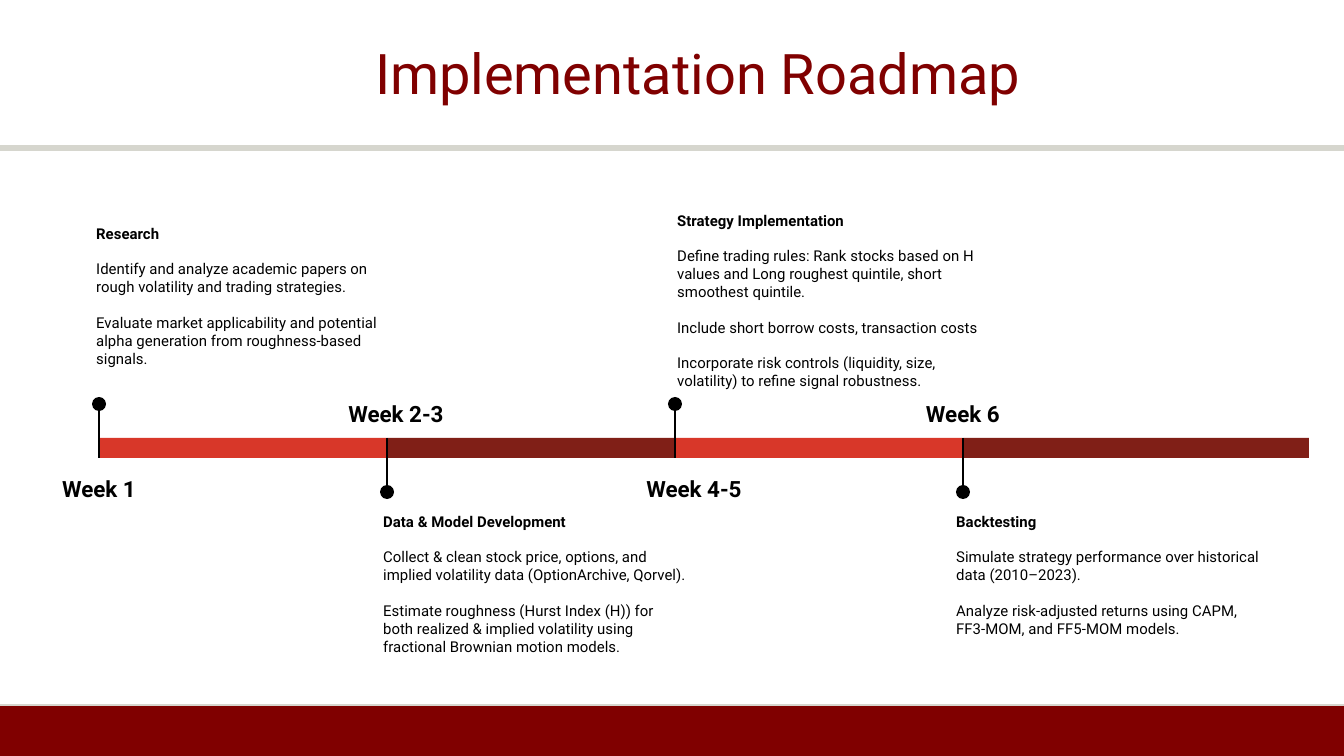
import pptx
import pptx.dml.color
import pptx.enum.shapes
import pptx.enum.text
import pptx.oxml.ns
import pptx.util
from lxml import etree

RGBColor = pptx.dml.color.RGBColor
MSO_SHAPE = pptx.enum.shapes.MSO_SHAPE
PP_ALIGN = pptx.enum.text.PP_ALIGN
Pt = pptx.util.Pt

WHITE = RGBColor(0xFF, 0xFF, 0xFF)
BLACK = RGBColor(0, 0, 0)
MAROON = RGBColor(0x80, 0, 0)
RULE_GREY = RGBColor(0xD6, 0xD6, 0xCE)
BAR_COLORS = [RGBColor(0xD8, 0x37, 0x29), RGBColor(0x80, 0x1F, 0x17)]
FONT = "Roboto"

TITLE = "Implementation Roadmap"
PHASES = [
    {"week": "Week 1", "label_center": 99, "detail_at": (83, 211), "name": "Research", "steps": [
        "Identify and analyze academic papers on rough volatility and trading strategies.",
        "Evaluate market applicability and potential alpha generation from roughness-based signals."]},
    {"week": "Week 2-3", "label_center": 396, "detail_at": (370, 499),
     "name": "Data & Model Development", "steps": [
        "Collect & clean stock price, options, and implied volatility data (OptionArchive, Qorvel).",
        "Estimate roughness (Hurst Index (H)) for both realized & implied volatility using "
        "fractional Brownian motion models."]},
    {"week": "Week 4-5", "label_center": 694, "detail_at": (664, 198),
     "name": "Strategy Implementation", "steps": [
        "Define trading rules: Rank stocks based on H values and Long roughest quintile, "
        "short smoothest quintile.",
        "Include short borrow costs, transaction costs",
        "Incorporate risk controls (liquidity, size, volatility) to refine signal robustness."]},
    {"week": "Week 6", "label_center": 963, "detail_at": (943, 499), "name": "Backtesting", "steps": [
        "Simulate strategy performance over historical data (2010–2023).",
        "Analyze risk-adjusted returns using CAPM, FF3-MOM, and FF5-MOM models."]},
]

SLIDE_W, SLIDE_H = 1344, 756
FOOTER_TOP = 706
BAR_LEFT, BAR_RIGHT, BAR_PITCH = 99, 1309, 288
BAR_TOP, BAR_H = 438, 20
BAR_BOTTOM = BAR_TOP + BAR_H
DOT = 14
DOT_ABOVE_Y, DOT_BELOW_Y = 404, 492
LABEL_W, LABEL_H = 134, 55
DETAIL_W, DETAIL_H = 331, 138


def px(length):
    return pptx.util.Emu(round(length * 914400 / 134.4))


def add_filled(kind, left, top, width, height, color):
    shape = slide.shapes.add_shape(kind, px(left), px(top), px(width), px(height))
    shape.shadow.inherit = False
    shape.fill.solid()
    shape.fill.fore_color.rgb = color
    shape.line.fill.background()


def add_line(x1, y1, x2, y2, color, weight):
    line = slide.shapes.add_connector(
        pptx.enum.shapes.MSO_CONNECTOR.STRAIGHT, px(x1), px(y1), px(x2), px(y2))
    line.line.color.rgb = color
    line.line.width = Pt(weight)
    etree.SubElement(line._element.spPr, pptx.oxml.ns.qn("a:effectLst"))


def add_text_frame(left, top, width, height):
    frame = slide.shapes.add_textbox(px(left), px(top), px(width), px(height)).text_frame
    frame.word_wrap = True
    frame.margin_left = frame.margin_right = frame.margin_top = frame.margin_bottom = Pt(7.2)
    return frame


def add_run(paragraph, text, size, color=BLACK, bold=False):
    run = paragraph.add_run()
    run.text = text
    run.font.name = FONT
    run.font.size = Pt(size)
    run.font.bold = bold
    run.font.color.rgb = color


def add_title():
    title = slide.shapes.title
    title.left, title.top, title.width, title.height = px(26), px(0), px(SLIDE_W), px(152)
    frame = title.text_frame
    frame.auto_size = pptx.enum.text.MSO_AUTO_SIZE.NONE
    frame.vertical_anchor = pptx.enum.text.MSO_ANCHOR.MIDDLE
    frame.margin_left = frame.margin_right = 0
    frame.margin_top = frame.margin_bottom = Pt(3.6)
    heading = frame.paragraphs[0]
    heading.alignment = PP_ALIGN.CENTER
    heading.line_spacing = 0.9
    add_run(heading, TITLE, 30, MAROON)


def add_week_label(phase, top):
    frame = add_text_frame(phase["label_center"] - LABEL_W / 2, top, LABEL_W, LABEL_H)
    label = frame.paragraphs[0]
    label.alignment = PP_ALIGN.CENTER
    label.line_spacing = 1.15
    label.space_after = Pt(16)
    add_run(label, phase["week"], 12, bold=True)


def add_details(phase):
    frame = add_text_frame(*phase["detail_at"], DETAIL_W, DETAIL_H)
    add_run(frame.paragraphs[0], phase["name"], 8, bold=True)
    for step in phase["steps"]:
        paragraph = frame.add_paragraph()
        paragraph.space_before = Pt(9.5)
        add_run(paragraph, step, 8)


def add_phase(index, phase):
    """Draw one bar; pins alternate above and below, with the week label opposite."""
    left = BAR_LEFT + index * BAR_PITCH
    right = BAR_RIGHT if index == len(PHASES) - 1 else left + BAR_PITCH
    pin_above = index % 2 == 0
    if pin_above:
        dot_y, pin_end, label_top = DOT_ABOVE_Y, BAR_BOTTOM, BAR_BOTTOM
    else:
        dot_y, pin_end, label_top = DOT_BELOW_Y, BAR_TOP, BAR_TOP - LABEL_H
    add_filled(MSO_SHAPE.RECTANGLE, left, BAR_TOP, right - left, BAR_H, BAR_COLORS[index % 2])
    pins.append((left, dot_y, pin_end))
    add_week_label(phase, label_top)
    add_details(phase)


presentation = pptx.Presentation()
presentation.slide_width, presentation.slide_height = px(SLIDE_W), px(SLIDE_H)
slide = presentation.slides.add_slide(presentation.slide_layouts[5])
slide.background.fill.solid()
slide.background.fill.fore_color.rgb = WHITE

add_title()
add_line(0, 148, SLIDE_W, 148, RULE_GREY, 3)
add_filled(MSO_SHAPE.RECTANGLE, 0, FOOTER_TOP, SLIDE_W, SLIDE_H - FOOTER_TOP, MAROON)
add_line(0, FOOTER_TOP - 1, SLIDE_W, FOOTER_TOP - 1, RULE_GREY, 0.75)

pins = []
for index, phase in enumerate(PHASES):
    add_phase(index, phase)
for x, dot_y, pin_end in pins:
    add_line(x, dot_y, x, pin_end, BLACK, 0.75)
    add_filled(MSO_SHAPE.OVAL, x - DOT / 2, dot_y - DOT / 2, DOT, DOT, BLACK)

presentation.save("out.pptx")
